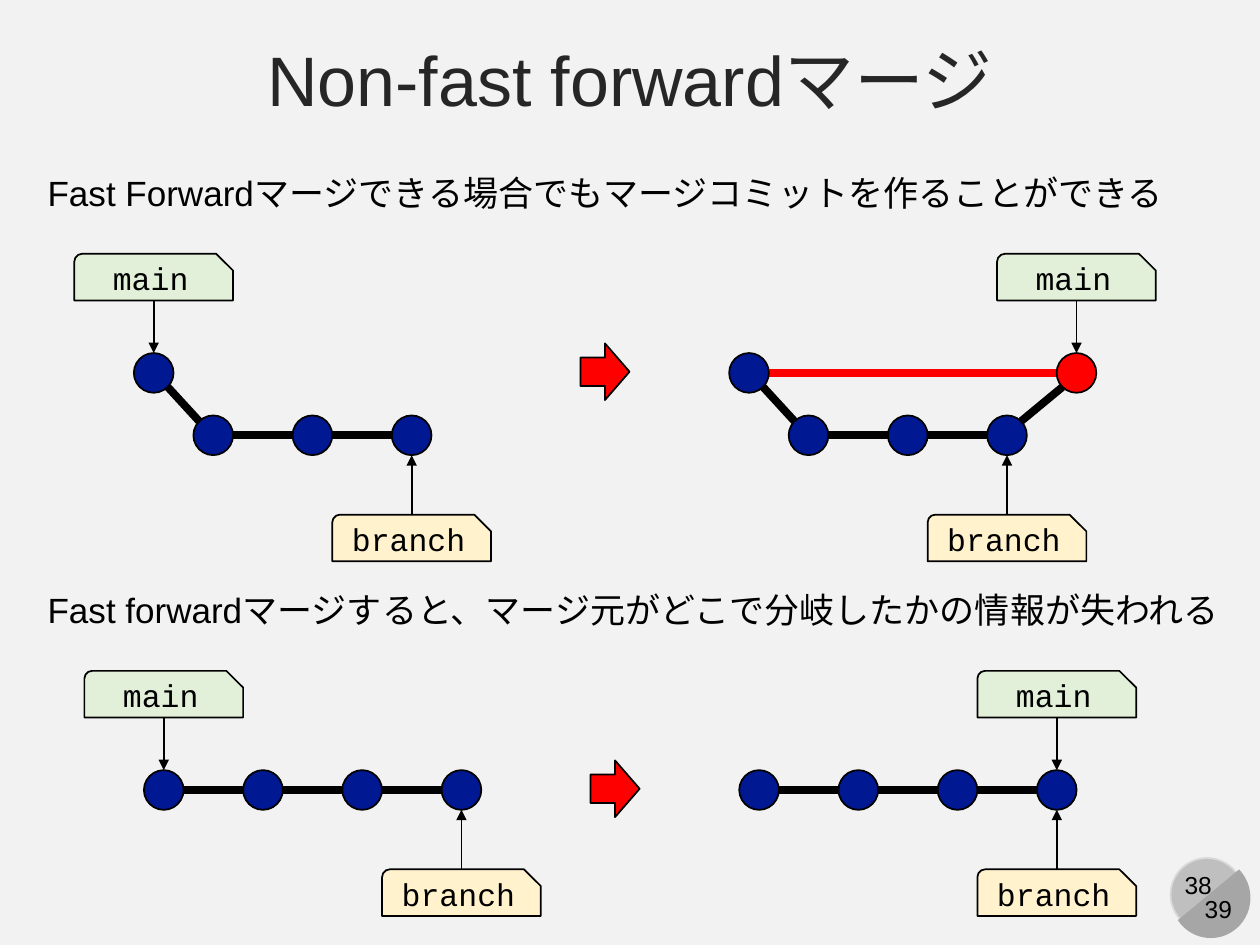
from dataclasses import dataclass

from lxml import etree
from pptx import Presentation
from pptx.dml.color import RGBColor
from pptx.enum.shapes import MSO_CONNECTOR, MSO_SHAPE
from pptx.enum.text import MSO_ANCHOR, MSO_AUTO_SIZE, PP_ALIGN
from pptx.oxml.ns import qn
from pptx.util import Inches, Pt

STRAIGHT = MSO_CONNECTOR.STRAIGHT
OVAL, CHORD = MSO_SHAPE.OVAL, MSO_SHAPE.CHORD
TAG, ARROW = MSO_SHAPE.SNIP_ROUND_RECTANGLE, MSO_SHAPE.RIGHT_ARROW
LEFT, CENTER = PP_ALIGN.LEFT, PP_ALIGN.CENTER
MIDDLE, NO_FIT = MSO_ANCHOR.MIDDLE, MSO_AUTO_SIZE.NONE


@dataclass(frozen=True)
class Theme:
    back: str = "F2F2F2"
    ink: str = "000000"
    title: str = "262626"
    commit: str = "011893"
    accent: str = "FF0000"
    main: str = "E2F0D9"
    branch: str = "FFF2CC"
    badge: str = "BFBFBF"
    badge_edge: str = "D9D9D9"
    badge_dark: str = "A6A6A6"
    sans: str = "Arial"
    mono: str = "Courier New"
    title_size: int = 40
    body_size: int = 20
    tag_size: int = 18
    page_size: int = 14
    thin: float = 1
    thick: float = 4.5


T = Theme()
COL, ROW = 0.7875, 0.495
RADIUS = 0.1575
TAG_W, TAG_H = 1.26, 0.37
MAIN_RISE, BRANCH_DROP = 0.945, 0.63
GRAPH_GAP, ARROW_COL = 6, 4.3


def rgb(value):
    return RGBColor.from_string(value)


def write(shape, text, size, color=T.ink, font=T.sans, align=CENTER, **frame):
    tf = shape.text_frame
    for name, value in frame.items():
        setattr(tf, name, value)
    p = tf.paragraphs[0]
    p.alignment = align
    r = p.add_run()
    r.text = text
    for name, value in {"name": font, "size": Pt(size)}.items():
        setattr(r.font, name, value)
    r.font.color.rgb = rgb(color)
    return p


def add_text(s, box, text, size, align=CENTER):
    sp = s.shapes.add_textbox(*map(Inches, box))
    write(sp, text, size, align=align, word_wrap=False)


def add_shape(s, kind, box, fill, line=T.ink, adjust=()):
    sp = s.shapes.add_shape(kind, *map(Inches, box))
    sp.shadow.inherit = False
    sp.fill.solid()
    sp.fill.fore_color.rgb = rgb(fill)
    if line:
        sp.line.color.rgb = rgb(line)
        sp.line.width = Pt(T.thin)
    else:
        sp.line.fill.background()
    for i, value in enumerate(adjust):
        sp.adjustments[i] = value
    return sp


def add_line(s, start, end, width, color=T.ink, arrow=False):
    c = s.shapes.add_connector(STRAIGHT, *map(Inches, (*start, *end)))
    c.line.color.rgb = rgb(color)
    c.line.width = Pt(width)
    if arrow:
        etree.SubElement(c.line._get_or_add_ln(), qn("a:tailEnd"), type="triangle")
    etree.SubElement(c._element.spPr, qn("a:effectLst"))


def add_edge(s, a, b, color):
    dx, dy = b[0] - a[0], b[1] - a[1]
    reach = RADIUS if dy == 0 else RADIUS * 0.71
    sx = reach if dx > 0 else -reach
    sy = 0 if dy == 0 else reach if dy > 0 else -reach
    add_line(s, (a[0] + sx, a[1] + sy), (b[0] - sx, b[1] - sy), T.thick, color)


def add_tag(s, text, fill, commit, top):
    x, y = commit
    sp = add_shape(s, TAG, (x - TAG_W / 2, top, TAG_W, TAG_H), fill, adjust=(0.167, 0.359))
    write(sp, text, T.tag_size, font=T.mono, vertical_anchor=MIDDLE, word_wrap=True)
    above = top < y
    start = top + TAG_H if above else top
    end = y - RADIUS if above else y + RADIUS
    add_line(s, (x, start), (x, end), T.thin, arrow=True)


def add_graph(s, left, top, commits, main, branch, merge=None):
    points = [(left + col * COL, top + row * ROW) for col, row in commits]
    for a, b in zip(points, points[1:]):
        add_edge(s, a, b, T.ink)
    if merge is not None:
        add_edge(s, points[0], points[merge], T.accent)
    for i, (x, y) in enumerate(points):
        box = (x - RADIUS, y - RADIUS, 2 * RADIUS, 2 * RADIUS)
        add_shape(s, OVAL, box, T.accent if i == merge else T.commit)
    add_tag(s, "main", T.main, points[main], points[main][1] - MAIN_RISE)
    add_tag(s, "branch", T.branch, points[branch], points[branch][1] + BRANCH_DROP)


def add_section(s, top, left, heading, before, after):
    add_text(s, (0.28, top, 9.5, 0.44), heading, T.body_size, LEFT)
    y = top + 1.65
    add_graph(s, left, y, **before)
    add_shape(s, ARROW, (left + ARROW_COL * COL, y - 0.235, 0.39, 0.45), T.accent)
    add_graph(s, left + GRAPH_GAP * COL, y, **after)


def add_title(s, box, text):
    sp = s.shapes.title
    for name, value in zip(("left", "top", "width", "height"), box):
        setattr(sp, name, Inches(value))
    p = write(sp, text, T.title_size, T.title, vertical_anchor=MIDDLE,
              auto_size=NO_FIT, word_wrap=True)
    p.space_before = Pt(10)


def add_page_badge(s, left, top, page, total):
    add_shape(s, OVAL, (left, top, 0.58, 0.58), T.badge, T.badge_edge)
    chord = add_shape(s, CHORD, (left, top, 0.64, 0.63), T.badge_dark, None, (27, 141.42))
    chord.rotation = 270
    add_text(s, (left, top + 0.05, 0.44, 0.34), page, T.page_size)
    add_text(s, (left + 0.11, top + 0.24, 0.54, 0.34), total, T.page_size)


def main():
    prs = Presentation()
    prs.slide_width, prs.slide_height = Inches(10), Inches(7.5)
    s = prs.slides.add_slide(prs.slide_layouts[5])
    s.background.fill.solid()
    s.background.fill.fore_color.rgb = rgb(T.back)

    add_page_badge(s, 9.29, 6.81, "38", "39")
    add_title(s, (0, 0.21, 10, 0.82), "Non-fast forwardマージ")

    forked = [(0, 0), (0.6, 1), (1.6, 1), (2.6, 1)]
    straight = [(col, 0) for col in range(4)]
    add_section(
        s, 1.31, 1.22,
        "Fast Forwardマージできる場合でもマージコミットを作ることができる",
        {"commits": forked, "main": 0, "branch": 3},
        {"commits": forked + [(3.3, 0)], "main": 4, "branch": 3, "merge": 4},
    )
    add_section(
        s, 4.62, 1.3,
        "Fast forwardマージすると、マージ元がどこで分岐したかの情報が失われる",
        {"commits": straight, "main": 0, "branch": 3},
        {"commits": straight, "main": 3, "branch": 3},
    )
    prs.save("out.pptx")


if __name__ == "__main__":
    main()
